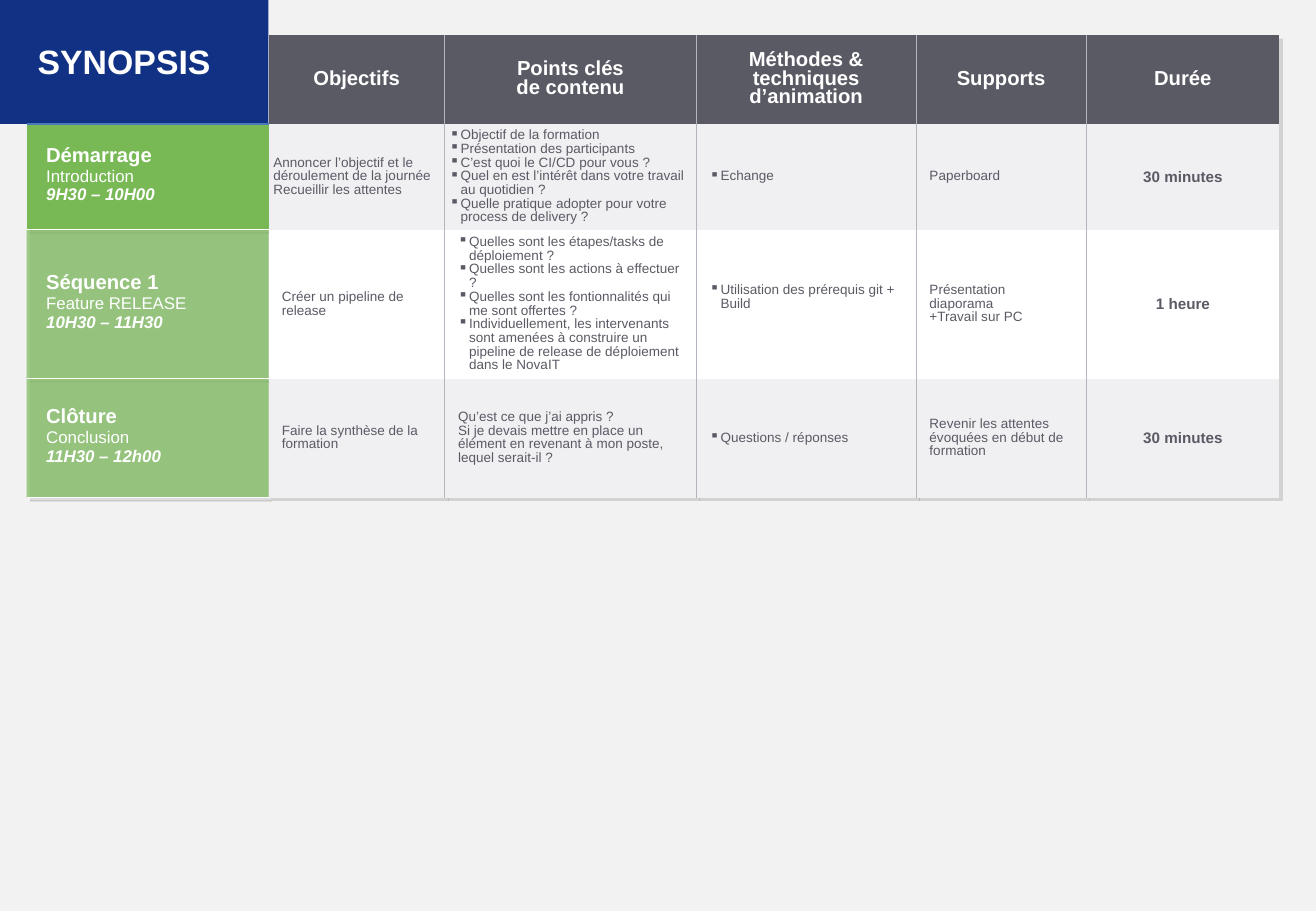
from dataclasses import dataclass

from lxml.etree import SubElement
from pptx import Presentation
from pptx.dml.color import RGBColor
from pptx.enum.shapes import MSO_SHAPE as Shape
from pptx.enum.text import MSO_ANCHOR as Anchor, PP_ALIGN as Align
from pptx.oxml.ns import qn
from pptx.oxml.xmlchemy import OxmlElement
from pptx.util import Inches, Pt


@dataclass(frozen=True)
class Theme:
    font: str = "Arial"
    page: str = "F2F2F2"
    navy: str = "103184"
    blue: str = "4B78B9"
    grey: str = "5A5A65"
    rule: str = "B4B4BE"
    pale: str = "F0F0F2"
    white: str = "FFFFFF"
    green: str = "78B955"
    title: int = 20
    heading: int = 12
    label: int = 10
    duration: int = 9
    body: int = 8


THEME = Theme()
WIDE = (0.11, 0.05, 0.11, 0.05)
TIGHT = (0.04, 0, 0.04, 0)
RAISED = (0.11, 0.05, 0.11, 0.16)
HEADER = (0.1, 0.05, 0.1, 0.05)
LABEL = (0.16, 0.04, 0.08, 0.08)
NO_STYLE = "{2D5ABB26-0587-4C30-8999-92F81FD0307C}"
COLUMN_WIDTHS = (1.99, 1.45, 2.07, 1.81, 1.4, 1.59)
ROW_HEIGHTS = (0.73, 0.87, 1.22, 0.98)
HEADINGS = ("Objectifs", "Points clés\nde contenu", "Méthodes & techniques d’animation",
            "Supports", "Durée")


@dataclass(frozen=True)
class Entry:
    lines: tuple
    bullets: bool = False
    insets: tuple = WIDE


@dataclass(frozen=True)
class Session:
    label: tuple
    opacity: int
    fill: str
    entries: tuple
    duration: str


SESSIONS = (
    Session(
        ("Démarrage", "Introduction", "9H30 – 10H00"), 100, THEME.pale,
        (Entry(("Annoncer l’objectif et le déroulement de la journée",
                "Recueillir les attentes"), insets=TIGHT),
         Entry(("Objectif de la formation",
                "Présentation des participants",
                "C’est quoi le CI/CD pour vous ?",
                "Quel en est l’intérêt dans votre travail au quotidien ?",
                "Quelle pratique adopter pour votre process de delivery ?"), True, TIGHT),
         Entry(("Echange",), True),
         Entry(("Paperboard",))),
        "30 minutes"),
    Session(
        ("Séquence 1", "Feature RELEASE", "10H30 – 11H30"), 70, THEME.white,
        (Entry(("Créer un pipeline de release",)),
         Entry(("Quelles sont les étapes/tasks de déploiement ?",
                "Quelles sont les actions à effectuer ?",
                "Quelles sont les fontionnalités qui me sont offertes ?",
                "Individuellement, les intervenants sont amenées à construire un "
                "pipeline de release de déploiement dans le NovaIT"), True),
         Entry(("Utilisation des prérequis git + Build",), True, RAISED),
         Entry(("Présentation diaporama", "+Travail sur PC"))),
        "1 heure"),
    Session(
        ("Clôture", "Conclusion", "11H30 – 12h00"), 70, THEME.pale,
        (Entry(("Faire la synthèse de la formation",)),
         Entry(("Qu’est ce que j’ai appris ?",
                "Si je devais mettre en place un élément en revenant à mon poste, "
                "lequel serait-il ?")),
         Entry(("Questions / réponses",), True),
         Entry(("Revenir les attentes évoquées en début de formation",))),
        "30 minutes"),
)


def paint(fill, color, opacity=100):
    """Apply a solid colour, see-through when opacity is below 100 percent."""
    fill.solid()
    fill.fore_color.rgb = RGBColor.from_string(color)
    if opacity < 100:
        tint = fill._xPr.find(qn("a:solidFill"))[0]
        SubElement(tint, qn("a:alpha"), val=str(opacity * 1000))


def style(para, size, color, bold=False, italic=False, spacing=1.0, align=Align.LEFT):
    """Set the type and spacing of one paragraph."""
    para.alignment = align
    para.line_spacing = spacing
    font = para.font
    font.name, font.size, font.bold, font.italic = THEME.font, Pt(size), bold, italic
    font.color.rgb = RGBColor.from_string(color)


def add_bullet(para):
    """Give a paragraph a small square bullet with a hanging indent."""
    properties = para._p.get_or_add_pPr()
    properties.set("marL", str(Inches(0.09)))
    properties.set("indent", str(-Inches(0.09)))
    SubElement(properties, qn("a:buChar"), char="▪")


def write_cell(cell, lines, insets):
    """Fill a vertically centred cell with lines and return its paragraphs."""
    cell.vertical_anchor = Anchor.MIDDLE
    cell.margin_left, cell.margin_top, cell.margin_right, cell.margin_bottom = map(Inches, insets)
    frame = cell.text_frame
    for index, line in enumerate(lines):
        para = frame.paragraphs[0] if index == 0 else frame.add_paragraph()
        para.text = line
    return frame.paragraphs


def add_borders(cell, borders):
    """Draw cell borders given as (side, colour, points) in L, R, T, B order."""
    properties = cell._tc.get_or_add_tcPr()
    for position, (side, color, points) in enumerate(borders):
        line = OxmlElement(f"a:ln{side}")
        line.set("w", str(Pt(points)))
        SubElement(SubElement(line, qn("a:solidFill")), qn("a:srgbClr"), val=color)
        properties.insert(position, line)


def add_table_shadow(table):
    """Cast a faint shadow to the lower right of the table."""
    effects = OxmlElement("a:effectLst")
    shadow = SubElement(effects, qn("a:outerShdw"), dist=str(Inches(0.04)), dir="2700000")
    tint = SubElement(shadow, qn("a:srgbClr"), val="000000")
    SubElement(tint, qn("a:alpha"), val="12000")
    table._tbl.tblPr.insert(0, effects)


def add_title(page):
    """Add the navy title block in the corner."""
    box = page.shapes.add_shape(Shape.RECTANGLE, 0, 0, Inches(2.21), Inches(1.02))
    box.shadow.inherit = False
    paint(box.fill, THEME.navy)
    box.line.fill.background()
    frame = box.text_frame
    frame.word_wrap = True
    frame.vertical_anchor = Anchor.MIDDLE
    frame.margin_left, frame.margin_top = Inches(0.31), Inches(0.24)
    frame.margin_right, frame.margin_bottom = Inches(0.1), Inches(0.2)
    frame.text = "SYNOPSIS"
    style(frame.paragraphs[0], THEME.title, THEME.white, bold=True, spacing=0.8)


def fill_header(table):
    """Write the column headings."""
    for column, heading in enumerate(HEADINGS, 1):
        cell = table.cell(0, column)
        paint(cell.fill, THEME.grey)
        for para in write_cell(cell, (heading,), HEADER):
            style(para, THEME.heading, THEME.white, True, spacing=0.8, align=Align.CENTER)


def fill_session(table, row, session):
    """Write one session: green label, four descriptions and a duration."""
    label = table.cell(row, 0)
    paint(label.fill, THEME.green, session.opacity)
    name, subject, hours = write_cell(label, session.label, LABEL)
    style(name, THEME.heading, THEME.white, bold=True)
    style(subject, THEME.label, THEME.white)
    style(hours, THEME.label, THEME.white, bold=True, italic=True)
    for column, entry in enumerate(session.entries, 1):
        cell = table.cell(row, column)
        paint(cell.fill, session.fill)
        for para in write_cell(cell, entry.lines, entry.insets):
            if entry.bullets:
                add_bullet(para)
            style(para, THEME.body, THEME.grey, spacing=0.9)
    cell = table.cell(row, len(COLUMN_WIDTHS) - 1)
    paint(cell.fill, session.fill)
    for para in write_cell(cell, (session.duration,), WIDE):
        style(para, THEME.duration, THEME.grey, bold=True, align=Align.CENTER)


def rule_table(table):
    """Draw the column rules and the lines between the labels."""
    last = len(COLUMN_WIDTHS) - 1
    for row in range(len(ROW_HEIGHTS)):
        for column in range(1, last + 1):
            sides = ("L" if column > 1 else "") + ("R" if column < last else "")
            add_borders(table.cell(row, column), [(side, THEME.rule, 0.5) for side in sides])
        top = [("T", THEME.blue if row == 1 else THEME.white, 1)] if row else []
        bottom = ("B", THEME.white if row else THEME.blue, 1)
        add_borders(table.cell(row, 0), top + [bottom])


def add_synopsis(page):
    """Add the programme table."""
    table = page.shapes.add_table(
        len(ROW_HEIGHTS), len(COLUMN_WIDTHS), Inches(0.22), Inches(0.29),
        Inches(sum(COLUMN_WIDTHS)), Inches(sum(ROW_HEIGHTS))).table
    table.first_row = table.horz_banding = False
    table._tbl.tblPr.find(qn("a:tableStyleId")).text = NO_STYLE
    add_table_shadow(table)
    for column, width in zip(table.columns, COLUMN_WIDTHS):
        column.width = Inches(width)
    for row, height in zip(table.rows, ROW_HEIGHTS):
        row.height = Inches(height)
    table.cell(0, 0).fill.background()
    fill_header(table)
    for row, session in enumerate(SESSIONS, 1):
        fill_session(table, row, session)
    rule_table(table)


def main():
    """Build the slide and save it."""
    deck = Presentation()
    deck.slide_width, deck.slide_height = Inches(10.83), Inches(7.5)
    page = deck.slides.add_slide(deck.slide_layouts[6])
    paint(page.background.fill, THEME.page)
    add_title(page)
    add_synopsis(page)
    deck.save("out.pptx")


if __name__ == "__main__":
    main()
